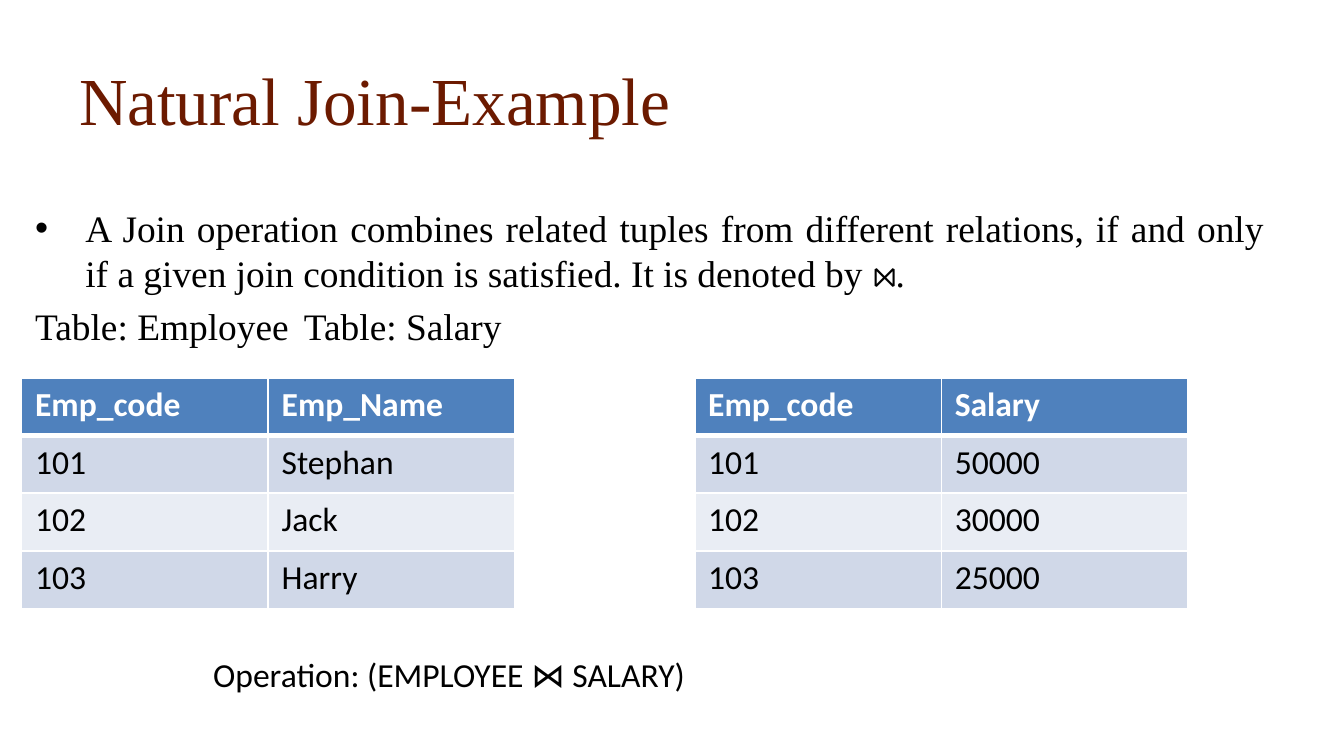
from dataclasses import dataclass

from lxml.etree import SubElement
from pptx import Presentation
from pptx.dml.color import RGBColor
from pptx.enum.text import MSO_ANCHOR as Anchor, MSO_AUTO_SIZE as AutoSize, PP_ALIGN as Align
from pptx.oxml import parse_xml
from pptx.oxml.ns import nsdecls, qn
from pptx.util import Cm, Pt


@dataclass(frozen=True)
class Theme:
    serif: str = "Times New Roman"
    sans: str = "Calibri"
    title_size: int = 36
    body_size: int = 20
    table_size: int = 18
    title: str = "6C1A00"
    text: str = "000000"
    white: str = "FFFFFF"
    header: str = "4F81BD"
    bands: tuple[str, str] = ("D0D8E8", "E9EDF4")


@dataclass(frozen=True)
class Relation:
    left: float
    rows: list[tuple[str, str]]


THEME = Theme()
TABLE_TOP = 7.14
COLUMN_WIDTH = 4.66
ROW_HEIGHT = 1.09

RELATIONS = [
    Relation(0.41, [("Emp_code", "Emp_Name"), ("101", "Stephan"), ("102", "Jack"), ("103", "Harry")]),
    Relation(13.13, [("Emp_code", "Salary"), ("101", "50000"), ("102", "30000"), ("103", "25000")]),
]


def add_run(paragraph, text: str, font: str, size: int, color: str, bold: bool = False) -> None:
    run = paragraph.add_run()
    run.text = text
    run.font.name = font
    run.font.size = Pt(size)
    run.font.bold = bold
    run.font.color.rgb = RGBColor.from_string(color)


def place(shape, left: float, top: float, width: float, height: float) -> None:
    shape.left, shape.top = Cm(left), Cm(top)
    shape.width, shape.height = Cm(width), Cm(height)


def set_indent(paragraph, margin: float, first_line: float):
    properties = paragraph._p.get_or_add_pPr()
    properties.set("marL", str(Cm(margin)))
    properties.set("indent", str(Cm(first_line)))
    return properties


def set_borders(cell, bottom_width: int) -> None:
    properties = cell._tc.get_or_add_tcPr()
    widths = {"lnL": 1, "lnR": 1, "lnT": 1, "lnB": bottom_width}
    for index, (side, width) in enumerate(widths.items()):
        properties.insert(index, parse_xml(
            f'<a:{side} {nsdecls("a")} w="{Pt(width)}"><a:solidFill>'
            f'<a:srgbClr val="{THEME.white}"/></a:solidFill></a:{side}>'))


def add_relation(slide, relation: Relation) -> None:
    row_count, column_count = len(relation.rows), len(relation.rows[0])
    table = slide.shapes.add_table(
        row_count, column_count, Cm(relation.left), Cm(TABLE_TOP),
        Cm(COLUMN_WIDTH * column_count), Cm(ROW_HEIGHT * row_count)).table
    for row_index, row in enumerate(relation.rows):
        is_header = row_index == 0
        fill = THEME.header if is_header else THEME.bands[(row_index - 1) % 2]
        color = THEME.white if is_header else THEME.text
        for column_index, text in enumerate(row):
            cell = table.cell(row_index, column_index)
            cell.fill.solid()
            cell.fill.fore_color.rgb = RGBColor.from_string(fill)
            set_borders(cell, 3 if is_header else 1)
            add_run(cell.text_frame.paragraphs[0], text, THEME.sans, THEME.table_size, color, is_header)


def add_title(slide) -> None:
    title = slide.shapes.title
    place(title, 1.24, 0.79, 22.91, 2.13)
    title.text_frame.vertical_anchor = Anchor.MIDDLE
    paragraph = title.text_frame.paragraphs[0]
    paragraph.alignment = Align.LEFT
    add_run(paragraph, "Natural Join-Example", THEME.serif, THEME.title_size, THEME.title)


def add_body(slide) -> None:
    body = slide.placeholders[1]
    place(body, 0.41, 3.76, 23.75, 9.75)
    frame = body.text_frame
    frame.auto_size = AutoSize.NONE
    definition, captions = frame.paragraphs[0], frame.add_paragraph()
    for paragraph in (definition, captions):
        paragraph.alignment = Align.JUSTIFY
        paragraph.space_before = Pt(4)

    properties = set_indent(definition, 0.95, -0.95)
    SubElement(properties, qn("a:buFont"), typeface="Arial")
    SubElement(properties, qn("a:buChar"), char="•")
    add_run(definition, "A Join operation combines related tuples from different relations, if and only "
            "if a given join condition is satisfied. It is denoted by ⋈.",
            THEME.serif, THEME.body_size, THEME.text)

    # One tab stop puts the second caption above its table
    properties = set_indent(captions, 0, 0)
    SubElement(properties, qn("a:buNone"))
    tab_stops = SubElement(properties, qn("a:tabLst"))
    SubElement(tab_stops, qn("a:tab"), pos=str(Cm(15.24)), algn="l")
    add_run(captions, "Table: Employee\tTable: Salary", THEME.serif, THEME.body_size, THEME.text)


def add_operation(slide) -> None:
    box = slide.shapes.add_textbox(Cm(3.78), Cm(12.24), Cm(9.58), Cm(1.02))
    box.text_frame.word_wrap = False
    box.text_frame.auto_size = AutoSize.SHAPE_TO_FIT_TEXT
    add_run(box.text_frame.paragraphs[0], "Operation: (EMPLOYEE ⋈ SALARY)",
            THEME.sans, THEME.table_size, THEME.text)


def main() -> None:
    presentation = Presentation()
    presentation.slide_width, presentation.slide_height = Cm(25.4), Cm(14.29)
    slide = presentation.slides.add_slide(presentation.slide_layouts[1])

    # Title and definition
    add_title(slide)
    add_body(slide)

    # The two relations and their join
    for relation in RELATIONS:
        add_relation(slide, relation)
    add_operation(slide)

    presentation.save("out.pptx")


if __name__ == "__main__":
    main()
